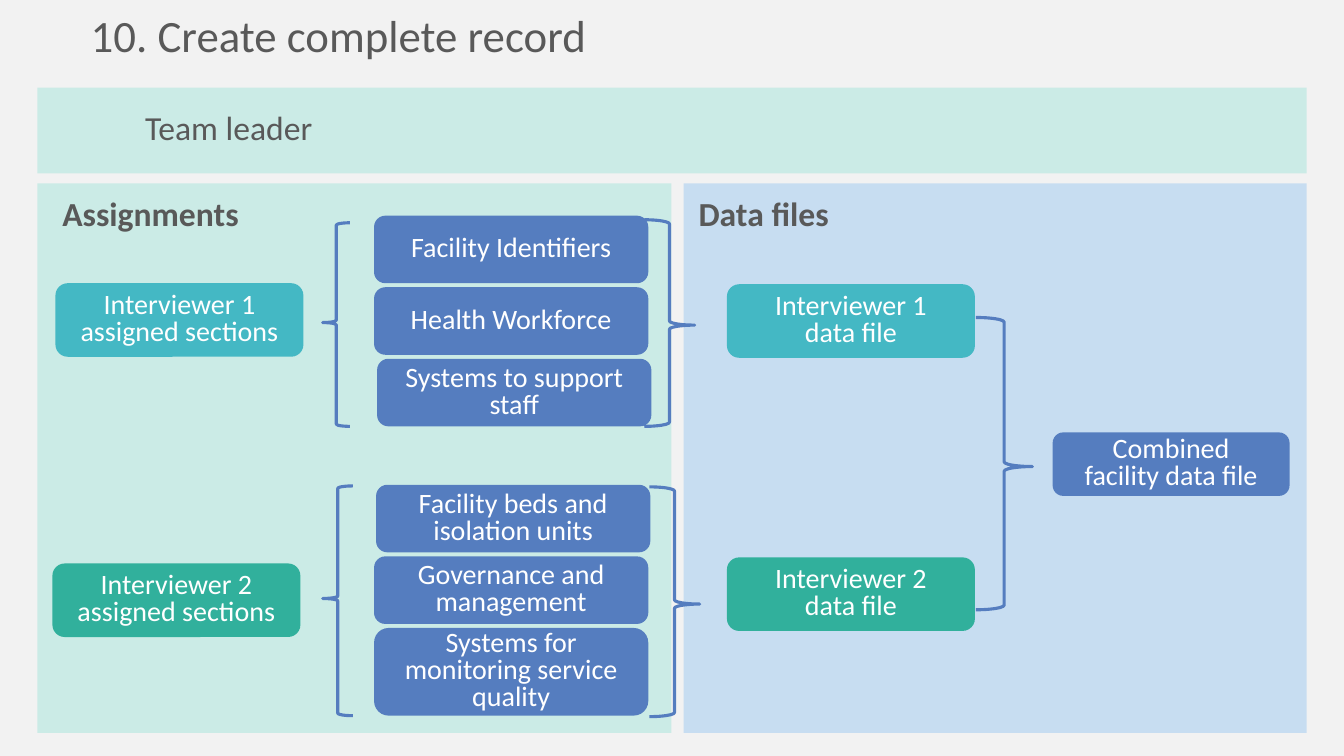
from pptx import Presentation
from pptx.dml.color import RGBColor
from pptx.enum.shapes import MSO_SHAPE
from pptx.enum.text import MSO_ANCHOR, PP_ALIGN
from pptx.util import Inches, Pt

RECT = MSO_SHAPE.RECTANGLE
ROUNDED = MSO_SHAPE.ROUNDED_RECTANGLE
BRACE = MSO_SHAPE.RIGHT_BRACE
MIDDLE = MSO_ANCHOR.MIDDLE
LEFT, CENTER = PP_ALIGN.LEFT, PP_ALIGN.CENTER

FONT = "Calibri"
GREY, WHITE, PAPER = "595959", "FFFFFF", "F2F2F2"
MINT, PALE_BLUE = "CBEBE6", "C7DDF1"
BLUE, TEAL, GREEN = "557DBF", "44B8C4", "31B09C"

BOX_W, BOX_H = 2.46, 0.73
SECTION_W, SECTION_H, SECTION_PITCH = 2.72, 0.67, 0.71


def rgb(value):
    return RGBColor.from_string(value)


def write(s, text, size, color, align=LEFT, spacing=None, bold=False):
    tf = s.text_frame
    tf.word_wrap = True
    tf.text = text
    for p in tf.paragraphs:
        p.alignment = align
        p.line_spacing = spacing
        for r in p.runs:
            r.font.name, r.font.size, r.font.bold = FONT, Pt(size), bold
            r.font.color.rgb = rgb(color)


def add_block(slide, kind, box, fill):
    s = slide.shapes.add_shape(kind, *map(Inches, box))
    s.shadow.inherit = False
    s.fill.solid()
    s.fill.fore_color.rgb = rgb(fill)
    s.line.fill.background()
    return s


def add_label(slide, text, box, **style):
    write(slide.shapes.add_textbox(*map(Inches, box)), text, 24, GREY, **style)


def add_box(slide, text, box, fill):
    s = add_block(slide, ROUNDED, box, fill)
    s.text_frame.vertical_anchor = MIDDLE
    write(s, text, 20, WHITE, CENTER, 0.8)


def add_brace(slide, box, rotation=0):
    s = slide.shapes.add_shape(BRACE, *map(Inches, box))
    s.shadow.inherit = False
    s.fill.background()
    s.line.color.rgb = rgb(BLUE)
    s.line.width = Pt(2.25)
    s.adjustments[0], s.adjustments[1] = 0.083, 0.51
    s.rotation = rotation


def add_title(slide, text, box):
    s = slide.shapes.title
    s.left, s.top, s.width, s.height = map(Inches, box)
    s.text_frame.vertical_anchor = MIDDLE
    write(s, text, 32, GREY)


def add_team_band(slide, box):
    x, y, w, h = box
    add_block(slide, RECT, box, MINT)
    add_label(slide, "Team leader", (x + 0.97, y + 0.19, w - 2.31, 0.47), spacing=0.9)


def add_sections(slide, sections, x, y):
    """Stack (text, indent, height) sections downwards from x, y."""
    for i, (text, indent, height) in enumerate(sections):
        add_box(slide, text, (x + indent, y + i * SECTION_PITCH, SECTION_W, height), BLUE)


def add_assignments(slide, box):
    x, y, w, h = box
    add_block(slide, RECT, box, MINT)
    add_label(slide, "Assignments", (x + 0.15, y + 0.04, 2.35, 0.5), bold=True)

    add_brace(slide, (x + 6.02, y + 0.36, 0.5, 2.05))
    add_brace(slide, (x + 6.07, y + 3.01, 0.5, 2.28))
    add_sections(slide, [("Facility Identifiers", 0, SECTION_H),
                         ("Health Workforce", 0, SECTION_H),
                         ("Systems to support staff", 0.03, SECTION_H)],
                 x + 3.34, y + 0.32)
    add_sections(slide, [("Facility beds and isolation units", 0.02, SECTION_H),
                         ("Governance and management", 0, SECTION_H),
                         ("Systems for monitoring service quality", 0, 0.87)],
                 x + 3.34, y + 2.99)
    add_brace(slide, (x + 2.83, y + 0.39, 0.27, 2.02), 180)
    add_brace(slide, (x + 2.83, y + 3, 0.3, 2.28), 180)

    add_box(slide, "Interviewer 1 assigned sections", (x + 0.18, y + 0.99, BOX_W, BOX_H), TEAL)
    add_box(slide, "Interviewer 2 assigned sections", (x + 0.15, y + 3.77, BOX_W, BOX_H), GREEN)


def add_data_files(slide, box):
    x, y, w, h = box
    add_block(slide, RECT, box, PALE_BLUE)
    add_label(slide, "Data files", (x + 0.05, y + 0.04, 1.93, 0.5), bold=True)
    add_box(slide, "Interviewer 1\ndata file", (x + 0.43, y + 1, BOX_W, BOX_H), TEAL)
    add_box(slide, "Interviewer 2\ndata file", (x + 0.43, y + 3.71, BOX_W, BOX_H), GREEN)
    add_brace(slide, (x + 2.9, y + 1.33, 0.56, 2.9))
    add_box(slide, "Combined\nfacility data file", (x + 3.66, y + 2.47, 2.35, 0.63), BLUE)


def main():
    prs = Presentation()
    prs.slide_width, prs.slide_height = Inches(13.33), Inches(7.5)
    slide = prs.slides.add_slide(prs.slide_layouts[5])
    slide.background.fill.solid()
    slide.background.fill.fore_color.rgb = rgb(PAPER)

    add_title(slide, "10. Create complete record", (0.8, 0.02, 11.01, 0.64))
    add_team_band(slide, (0.37, 0.87, 12.59, 0.85))
    add_data_files(slide, (6.78, 1.82, 6.18, 5.45))
    add_assignments(slide, (0.37, 1.82, 6.29, 5.45))
    prs.save("out.pptx")


if __name__ == "__main__":
    main()
